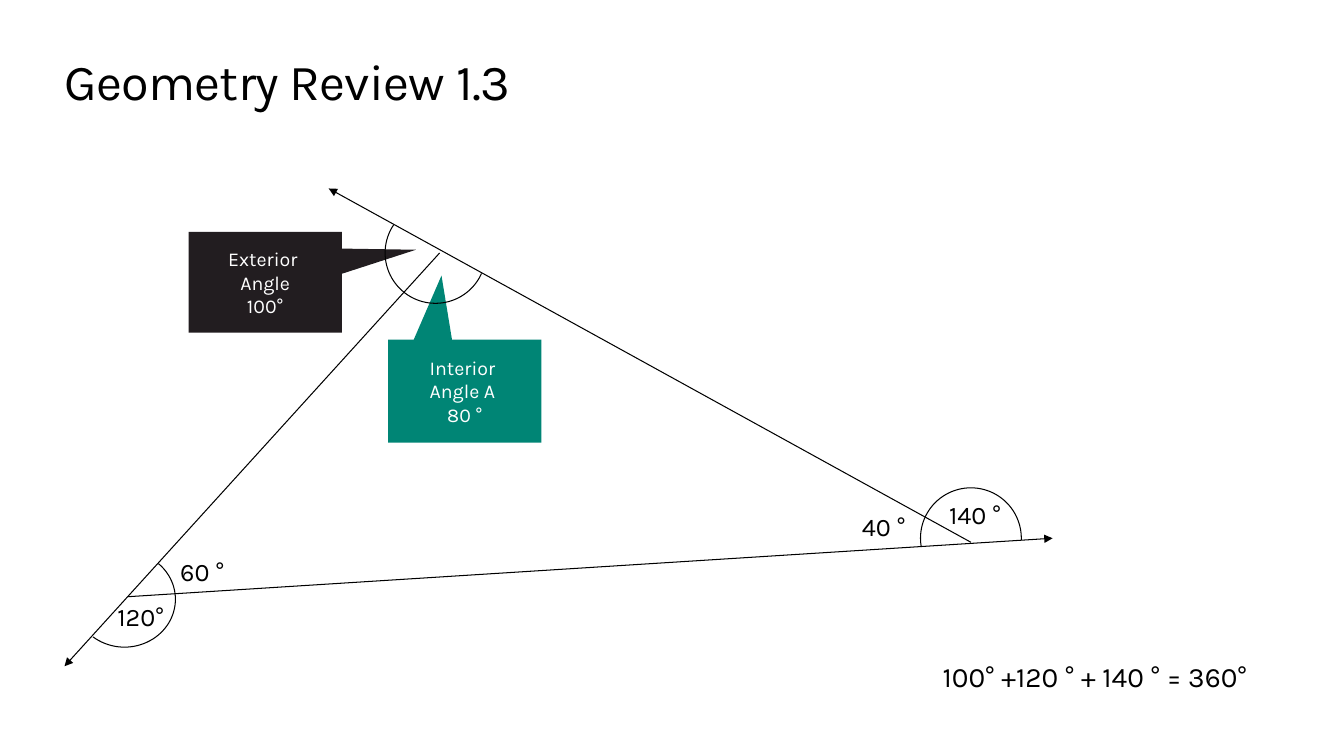
from pptx import Presentation
from pptx.dml.color import RGBColor
from pptx.enum.shapes import MSO_CONNECTOR, MSO_SHAPE
from pptx.enum.text import MSO_ANCHOR, PP_ALIGN
from pptx.oxml.ns import qn
from pptx.util import Inches, Pt
from lxml import etree

COLORS = {"ink": "000000", "dark": "221D20", "teal": "008575", "white": "FFFFFF"}


def write(frame, text, size=18, color="ink", align=PP_ALIGN.CENTER, wrap=False, inset=True, tight=0):
    frame.word_wrap = wrap
    if not inset:
        frame.margin_left = frame.margin_right = 0
        frame.margin_top = frame.margin_bottom = 0
    for i, words in enumerate(text.split("\n")):
        para = frame.paragraphs[0] if i == 0 else frame.add_paragraph()
        para.alignment = align
        run = para.add_run()
        run.text = words
        run.font.name = "Karla"
        run.font.size = Pt(size)
        run.font.color.rgb = RGBColor.from_string(COLORS[color])
        if tight:
            run._r.get_or_add_rPr().set("spc", str(tight))


def ink(line):
    line.color.rgb = RGBColor.from_string(COLORS["ink"])
    line.width = Pt(0.75)


deck = Presentation()
deck.slide_width = Inches(13.33)
deck.slide_height = Inches(7.5)
slide = deck.slides.add_slide(deck.slide_layouts[6])
shapes = slide.shapes

title = shapes.add_textbox(Inches(0.64), Inches(0.5), Inches(12.05), Inches(0.61))
write(title.text_frame, "Geometry Review 1.3", size=36, align=PP_ALIGN.LEFT, wrap=True, inset=False, tight=-50)

callouts = [
    (1.87, 2.3, 1, "dark", (0.984, -0.322), "Exterior \nAngle\n100°"),
    (3.85, 3.37, 1.02, "teal", (-0.152, -1.124), "Interior \nAngle A \n80 °"),
]
for left, top, height, color, tip, text in callouts:
    box = shapes.add_shape(MSO_SHAPE.RECTANGULAR_CALLOUT, Inches(left), Inches(top), Inches(1.52), Inches(height))
    box.shadow.inherit = False
    box.adjustments[0], box.adjustments[1] = tip
    box.fill.solid()
    box.fill.fore_color.rgb = RGBColor.from_string(COLORS[color])
    box.line.fill.background()
    box.text_frame.vertical_anchor = MSO_ANCHOR.MIDDLE
    write(box.text_frame, text, size=14, color="white", wrap=True)

arcs = [
    (0.73, 5.47, 1.01, 0.95, 188.125, 77.954),
    (3.82, 2.01, 1, 1, 14.434, 128.214),
    (9.13, 4.84, 1, 1, 102.323, 1.384),
]
for left, top, width, height, start, end in arcs:
    arc = shapes.add_shape(MSO_SHAPE.ARC, Inches(left), Inches(top), Inches(width), Inches(height))
    arc.shadow.inherit = False
    arc.adjustments[0], arc.adjustments[1] = start, end
    arc.fill.background()
    ink(arc.line)

rays = [
    (9.63, 5.38, 3.26, 1.87),
    (1.27, 5.92, 10.44, 5.34),
    (4.36, 2.51, 0.64, 6.61),
]
for ends in rays:
    ray = shapes.add_connector(MSO_CONNECTOR.STRAIGHT, *[Inches(n) for n in ends])
    ink(ray.line)
    etree.SubElement(ray.line._get_or_add_ln(), qn("a:tailEnd"), type="triangle")
    etree.SubElement(ray._element.spPr, qn("a:effectLst"))

labels = [
    (1.04, 5.92, 0.71, "120°"),
    (1.68, 5.47, 0.65, "60 °"),
    (8.44, 5.02, 0.65, "40 °"),
    (9.28, 4.9, 0.78, "140 °"),
]
for left, top, width, text in labels:
    label = shapes.add_textbox(Inches(left), Inches(top), Inches(width), Inches(0.4))
    write(label.text_frame, text)

total = shapes.add_textbox(Inches(9.35), Inches(6.54), Inches(3.45), Inches(0.34))
write(total.text_frame, "100° +120 ° + 140 ° = 360°", size=20, align=PP_ALIGN.LEFT, inset=False)

deck.save("out.pptx")
